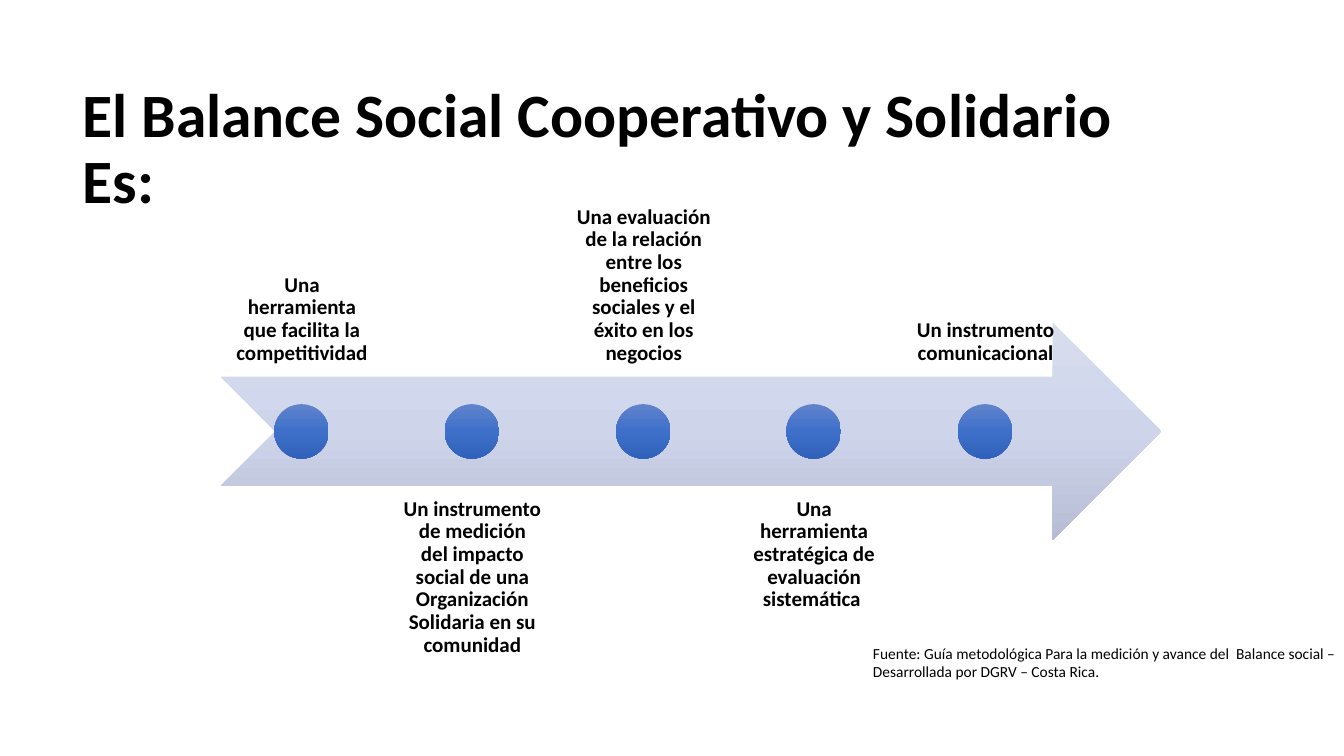
from copy import deepcopy

from pptx import Presentation
from pptx.dml.color import RGBColor
from pptx.enum.shapes import MSO_SHAPE
from pptx.enum.text import MSO_ANCHOR, MSO_AUTO_SIZE, PP_ALIGN
from pptx.oxml.ns import qn
from pptx.util import Emu, Pt

PX = 9144


def px(n):
    return Emu(n * PX)


def rgb(value):
    return RGBColor.from_string(value)


class Deck:
    font = "Calibri"
    ink = "000000"

    def __init__(self, width, height):
        self.prs = Presentation()
        self.prs.slide_width, self.prs.slide_height = px(width), px(height)
        self.s = self.prs.slides.add_slide(self.prs.slide_layouts[6])

    def text(self, box, text, size, bold=False, anchor=MSO_ANCHOR.TOP,
             align=PP_ALIGN.LEFT, spacing=1.0, inset=None, grow=False):
        tf = self.s.shapes.add_textbox(*map(px, box)).text_frame
        tf.word_wrap = True
        tf.auto_size = MSO_AUTO_SIZE.SHAPE_TO_FIT_TEXT if grow else MSO_AUTO_SIZE.NONE
        tf.vertical_anchor = anchor
        if inset is not None:
            tf.margin_left = tf.margin_right = px(inset)
            tf.margin_top = tf.margin_bottom = px(inset)
        p = tf.paragraphs[0]
        p.text = text
        p.alignment = align
        p.line_spacing = spacing
        p.font.name = self.font
        p.font.size = Pt(size)
        p.font.bold = bold
        p.font.color.rgb = rgb(self.ink)

    def shape(self, kind, box, colors):
        sp = self.s.shapes.add_shape(kind, *map(px, box))
        sp.shadow.inherit = False
        sp.line.fill.background()
        sp.fill.gradient()
        sp.fill.gradient_angle = 270
        stops = sp.element.spPr.find(qn("a:gradFill")).find(qn("a:gsLst"))
        stops.append(deepcopy(stops[0]))
        for i, (stop, color) in enumerate(zip(sp.fill.gradient_stops, colors)):
            stop.position = i / (len(colors) - 1)
            stop.color.rgb = rgb(color)


ARROW_COLORS = ["D8DDEE", "CED5EB", "B5BCD3"]
DOT_COLORS = ["6183CB", "3E70CA", "3062BB"]
MILESTONES = [
    "Una herramienta que facilita la competitividad",
    "Un instrumento de medición del impacto social de una Organización Solidaria en su comunidad",
    "Una evaluación de la relación entre los beneficios sociales y el éxito en los negocios",
    "Una herramienta estratégica de evaluación sistemática ",
    "Un instrumento comunicacional",
]


def main():
    deck = Deck(1333, 750)
    deck.text((72, 77, 1127, 145), "El Balance Social Cooperativo y Solidario  Es:", 44,
              bold=True, anchor=MSO_ANCHOR.MIDDLE, spacing=0.9)

    left, top, height = 219, 320, 216
    label_w, dot = 161, 54
    deck.shape(MSO_SHAPE.NOTCHED_RIGHT_ARROW, (left, top, 933, height), ARROW_COLORS)
    for i, label in enumerate(MILESTONES):
        x = left + i * 339 // 2
        above = i % 2 == 0
        deck.text((x, 158 if above else 482, label_w, height), label, 15, bold=True,
                  anchor=MSO_ANCHOR.BOTTOM if above else MSO_ANCHOR.TOP,
                  align=PP_ALIGN.CENTER, spacing=0.9, inset=12)
        deck.shape(MSO_SHAPE.OVAL,
                   (x + (label_w - dot) // 2, top + (height - dot) // 2, dot, dot), DOT_COLORS)

    deck.text((856, 634, 546, 77),
              "Fuente: Guía metodológica Para la medición y avance del  Balance social – "
              "Desarrollada por DGRV – Costa Rica.", 11, grow=True)
    deck.prs.save("out.pptx")


if __name__ == "__main__":
    main()
